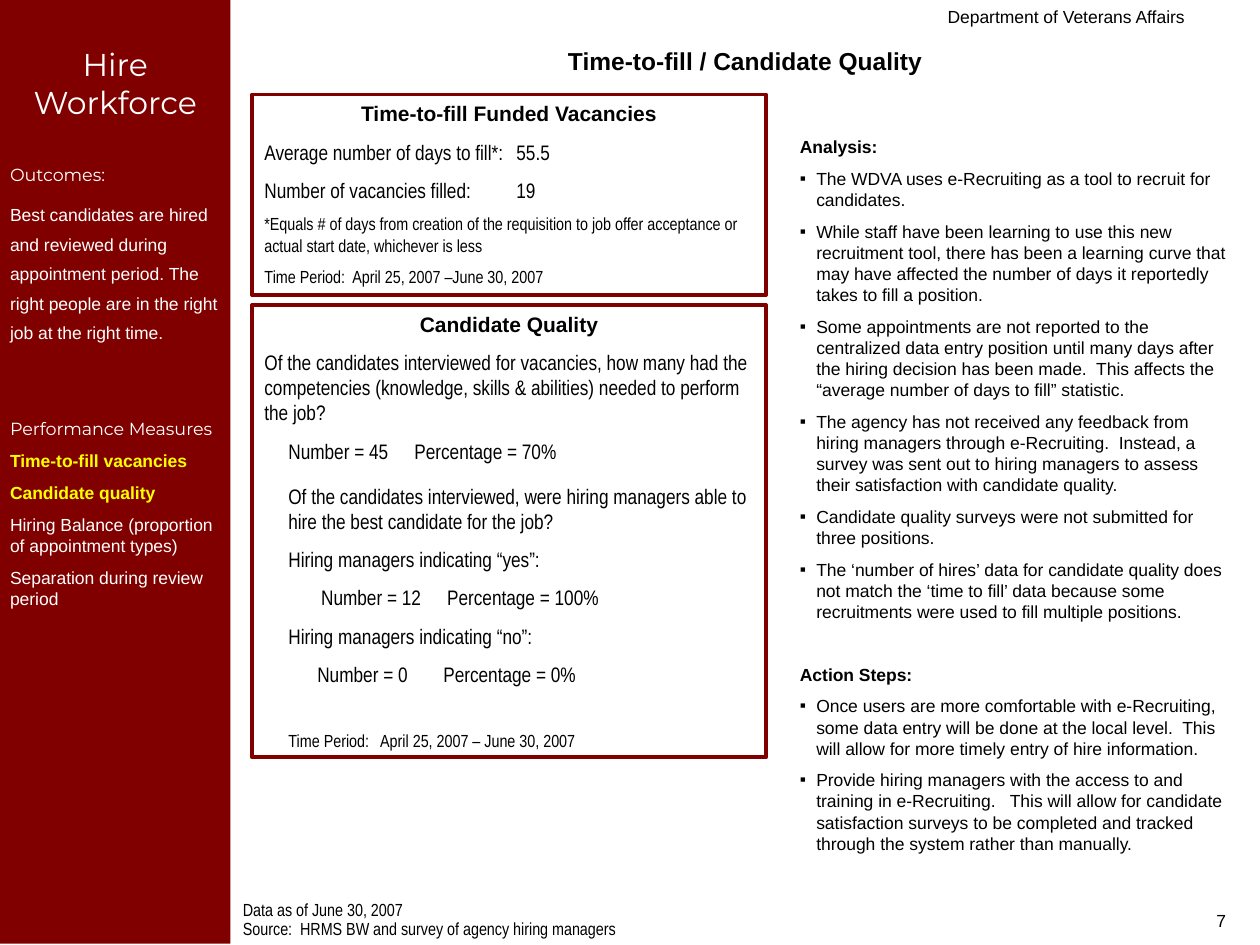
from lxml import etree
from pptx import Presentation, util as u
from pptx.dml.color import RGBColor
from pptx.enum import shapes, text
from pptx.oxml.ns import qn

MAROON, WHITE, BLACK, YELLOW = "800000", "FFFFFF", "000000", "FFFF00"
WIDTH, HEIGHT = 10, 7.5
SIDEBAR = 1.83
PANEL_LEFT, PANEL_WIDTH = 2, 4.08
INSETS = (0.1, 0.05)

BODY = dict(size=10, font="Arial", color=BLACK, before=6.2)
HEADING = dict(BODY, bold=True, indent=0.13, hanging=0.13)
BULLET = dict(HEADING, bold=False, bullet="▪")
SIDE_HEAD = dict(BODY, font="Montserrat", color=WHITE)
SIDE_BODY = dict(BODY, color=WHITE)
SIDE_ACTIVE = dict(BODY, color=YELLOW, bold=True)
PANEL_HEAD = dict(BODY, size=12, bold=True, align="CENTER")
PANEL_BODY = dict(BODY, size=12, font="Arial Narrow", before=7.5)
PANEL_SUB = dict(PANEL_BODY, indent=0.19)
PANEL_NOTE = dict(PANEL_BODY, size=10, before=6.2)
FIGURE = dict(PANEL_BODY, tab=(3.38, "r"))
FOOTER = dict(PANEL_NOTE, before=2.5, spacing=0.7)
CORNER = dict(BODY, align="RIGHT")

SIDEBAR_TEXT = [
    ("Hire Workforce", dict(SIDE_HEAD, size=18, align="CENTER")),
    ("Outcomes:", dict(SIDE_HEAD, before=24.6)),
    ("Best candidates are hired and reviewed during appointment period. "
     "The right people are in the right job at the right time.",
     dict(SIDE_BODY, spacing=1.4)),
    ("Performance Measures", dict(SIDE_HEAD, before=43)),
    ("Time-to-fill vacancies", SIDE_ACTIVE),
    ("Candidate quality", SIDE_ACTIVE),
    ("Hiring Balance (proportion of appointment types)", SIDE_BODY),
    ("Separation during review period", SIDE_BODY),
]
ANALYSIS = [
    ("Analysis:", HEADING),
    ("The WDVA uses e-Recruiting as a tool to recruit for candidates.", BULLET),
    ("While staff have been learning to use this new recruitment tool, there has been a "
     "learning curve that may have affected the number of days it reportedly takes to "
     "fill a position.", BULLET),
    ("Some appointments are not reported to the centralized data entry position until "
     "many days after the hiring decision has been made.  This affects the “average "
     "number of days to fill” statistic.", BULLET),
    ("The agency has not received any feedback from hiring managers through "
     "e-Recruiting.  Instead, a survey was sent out to hiring managers to assess their "
     "satisfaction with candidate quality.", BULLET),
    ("Candidate quality surveys were not submitted for three positions.", BULLET),
    ("The ‘number of hires’ data for candidate quality does not match the ‘time to fill’ "
     "data because some recruitments were used to fill multiple positions.", BULLET),
    ("Action Steps:", dict(HEADING, before=23.9)),
    ("Once users are more comfortable with e-Recruiting, some data entry will be done at "
     "the local level.  This will allow for more timely entry of hire information.", BULLET),
    ("Provide hiring managers with the access to and training in e-Recruiting.   This "
     "will allow for candidate satisfaction surveys to be completed and tracked through "
     "the system rather than manually.", BULLET),
]
TIME_TO_FILL = [
    ("Time-to-fill Funded Vacancies", PANEL_HEAD),
    ("Average number of days to fill*:\t55.5", FIGURE),
    ("Number of vacancies filled:\t19", FIGURE),
    ("*Equals # of days from creation of the requisition to job offer acceptance or "
     "actual start date, whichever is less", PANEL_NOTE),
    ("Time Period:  April 25, 2007 –June 30, 2007", PANEL_NOTE),
]
CANDIDATE_QUALITY = [
    ("Candidate Quality", PANEL_HEAD),
    ("Of the candidates interviewed for vacancies, how many had the competencies "
     "(knowledge, skills & abilities) needed to perform the job?", PANEL_BODY),
    ("Number = 45\tPercentage = 70%", dict(PANEL_SUB, tab=(1.1, "l"))),
    ("Of the candidates interviewed, were hiring managers able to hire the best "
     "candidate for the job?", dict(PANEL_SUB, before=11.2)),
    ("Hiring managers indicating “yes”:", PANEL_SUB),
    ("Number = 12\tPercentage = 100%", dict(PANEL_SUB, indent=0.45, tab=(1.44, "l"))),
    ("Hiring managers indicating “no”:", PANEL_SUB),
    ("Number = 0\tPercentage = 0%", dict(PANEL_SUB, indent=0.42, tab=(1.33, "l"))),
    ("Time Period:   April 25, 2007 – June 30, 2007",
     dict(PANEL_NOTE, indent=0.19, before=24.4)),
]
FOOTNOTE = [
    ("Data as of June 30, 2007", FOOTER),
    ("Source:  HRMS BW and survey of agency hiring managers", FOOTER),
]
TITLE = [("Time-to-fill / Candidate Quality", dict(PANEL_HEAD, size=14))]

PANELS = [(0.75, 1.59, TIME_TO_FILL), (2.42, 3.59, CANDIDATE_QUALITY)]
TEXT_BOXES = [
    ((6.25, 1.03, 3.58, 6.06), ANALYSIS),
    ((SIDEBAR, 7.13, 4.83, 0.37), FOOTNOTE),
    ((SIDEBAR, 0.32, WIDTH - SIDEBAR, 0.34), TITLE),
    ((4.5, 0, 5, 0.25), [("Department of Veterans Affairs", CORNER)]),
    ((7.5, 7.17, 2.33, 0.33), [("7", CORNER)]),
]


def rgb(value):
    """Turn a hex string into a colour."""
    return RGBColor.from_string(value)


def add_child(parent, tag, **attributes):
    """Append a drawing element with its attributes."""
    return etree.SubElement(parent, qn(tag), **attributes)


def write_paragraph(paragraph, content, style, first):
    """Fill one paragraph and apply its style."""
    paragraph.text = content
    paragraph.alignment = getattr(text.PP_ALIGN, style.get("align", "LEFT"))
    paragraph.space_before = u.Pt(0 if first else style["before"])
    paragraph.line_spacing = style.get("spacing", 1.0)
    properties = paragraph._p.get_or_add_pPr()
    properties.set("marL", str(u.Inches(style.get("indent", 0))))
    properties.set("indent", str(-u.Inches(style.get("hanging", 0))))
    if "bullet" in style:
        add_child(add_child(properties, "a:buClr"), "a:srgbClr", val=style["color"])
        add_child(properties, "a:buFont", typeface=style["font"])
        add_child(properties, "a:buChar", char=style["bullet"])
    if "tab" in style:
        position, align = style["tab"]
        add_child(add_child(properties, "a:tabLst"), "a:tab",
                  pos=str(u.Inches(position)), algn=align)
    for run in paragraph.runs:
        run.font.size = u.Pt(style["size"])
        run.font.name = style["font"]
        run.font.bold = style.get("bold", False)
        run.font.color.rgb = rgb(style["color"])


def write_text(shape, paragraphs, insets=INSETS):
    """Write styled paragraphs from the top of a shape."""
    frame = shape.text_frame
    frame.word_wrap = True
    frame.vertical_anchor = text.MSO_ANCHOR.TOP
    frame.margin_left = frame.margin_right = u.Inches(insets[0])
    frame.margin_top = frame.margin_bottom = u.Inches(insets[1])
    for index, (content, style) in enumerate(paragraphs):
        paragraph = frame.add_paragraph() if index else frame.paragraphs[0]
        write_paragraph(paragraph, content, style, index == 0)


def add_rectangle(slide, place, fill=None, line=None):
    """Add a flat rectangle with an optional fill and outline."""
    shape = slide.shapes.add_shape(shapes.MSO_SHAPE.RECTANGLE, *map(u.Inches, place))
    shape.shadow.inherit = False
    if fill:
        shape.fill.solid()
        shape.fill.fore_color.rgb = rgb(fill)
    else:
        shape.fill.background()
    if line:
        shape.line.color.rgb = rgb(line)
        shape.line.width = u.Pt(2.25)
    else:
        shape.line.fill.background()
    return shape


def main():
    """Build and save the slide."""
    presentation = Presentation()
    presentation.slide_width, presentation.slide_height = u.Inches(WIDTH), u.Inches(HEIGHT)
    slide = presentation.slides.add_slide(presentation.slide_layouts[6])
    sidebar = add_rectangle(slide, (0, 0, SIDEBAR, 7.49), fill=MAROON)
    write_text(sidebar, SIDEBAR_TEXT, insets=(0.08, 0.36))
    for top, height, paragraphs in PANELS:
        panel = add_rectangle(slide, (PANEL_LEFT, top, PANEL_WIDTH, height), line=MAROON)
        write_text(panel, paragraphs)
    for place, paragraphs in TEXT_BOXES:
        write_text(slide.shapes.add_textbox(*map(u.Inches, place)), paragraphs)
    presentation.save("out.pptx")


if __name__ == "__main__":
    main()
